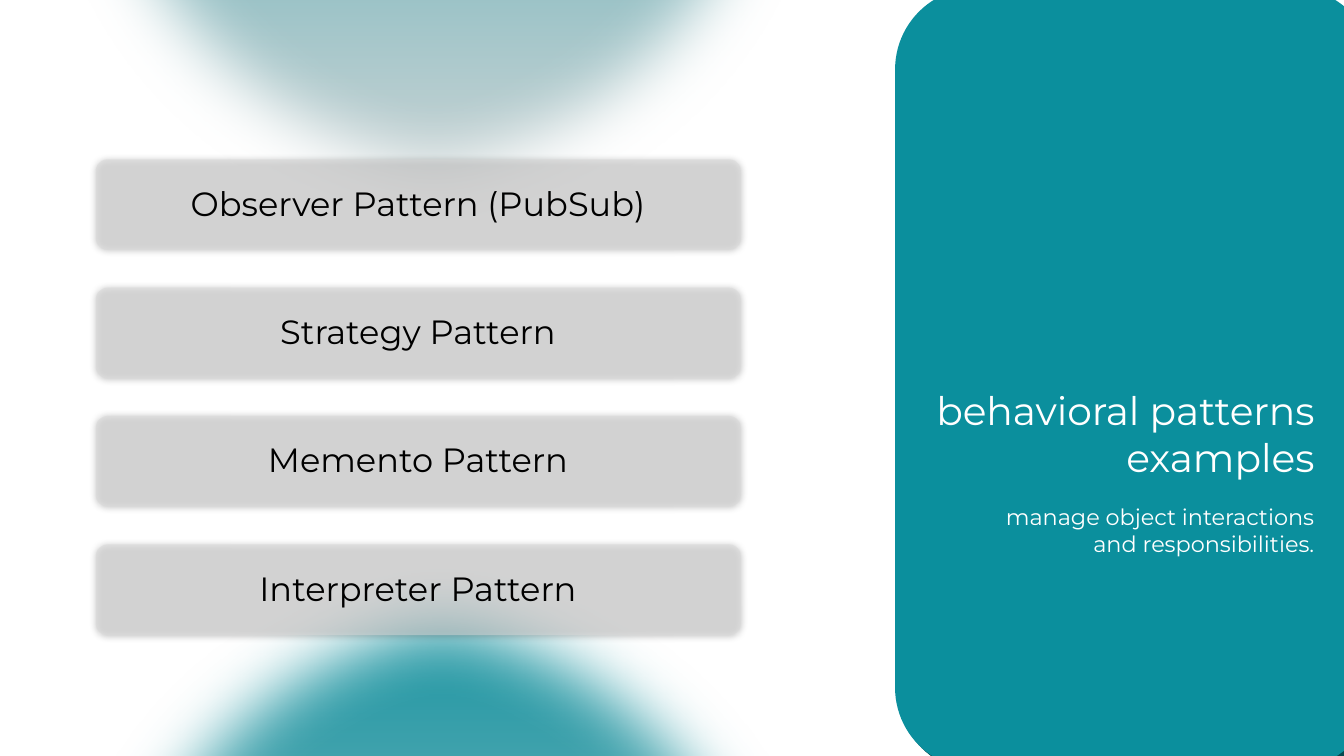
from lxml import etree
from pptx import Presentation
from pptx import util as u
from pptx.dml.color import RGBColor
from pptx.enum import shapes, text
from pptx.oxml.ns import qn

WIDTH, HEIGHT = u.Inches(13.33), u.Inches(7.5)
COLORS = {"teal": "0B8F9D", "dark_teal": "05484F", "grey": "D9D9D9",
          "black": "000000", "white": "FFFFFF"}
PATTERNS = ["Observer Pattern (PubSub)", "Strategy Pattern",
            "Memento Pattern", "Interpreter Pattern"]
FIRST_BAR, BAR_STEP = 21.07, 16.98  # percent of the slide height


def rgb(color):
    return RGBColor.from_string(COLORS[color])


def area(left, top, width, height):
    """Turn percentages of the slide's size into lengths."""
    return [round(share * side / 100) for share, side in
            zip((left, top, width, height), (WIDTH, HEIGHT, WIDTH, HEIGHT))]


def add_color(parent, color, alpha=100):
    node = etree.SubElement(parent, qn("a:srgbClr"), val=COLORS[color])
    etree.SubElement(node, qn("a:alpha"), val=str(alpha * 1000))


def add_effect(shape, kind, **values):
    effects = etree.SubElement(shape._element.spPr, qn("a:effectLst"))
    return etree.SubElement(effects, qn(kind),
                            {key: str(value) for key, value in values.items()})


def add_shadow(shape, color, alpha, blur, distance, angle):
    shadow = add_effect(shape, "a:outerShdw", blurRad=u.Pt(blur), dist=u.Pt(distance),
                        dir=angle * 60000, algn="ctr", rotWithShape=0)
    add_color(shadow, color, alpha)


def add_circle(slide, left, top):
    circle = slide.shapes.add_shape(shapes.MSO_SHAPE.OVAL, *area(left, top, 60, 106.67))
    circle.line.fill.background()
    circle.fill.gradient()
    circle.fill.gradient_angle = 270
    for stop, color, position in zip(circle.fill.gradient_stops, ("teal", "grey"), (0, 0.99)):
        stop.color.rgb = rgb(color)
        stop.position = position
    add_effect(circle, "a:softEdge", rad=u.Pt(50))


def add_card(slide, box, color, corner, shadow, alpha=100):
    card = slide.shapes.add_shape(shapes.MSO_SHAPE.ROUNDED_RECTANGLE, *area(*box))
    card.adjustments[0] = corner
    card.line.fill.background()
    card.fill.solid()
    card.fill.fore_color.rgb = rgb(color)
    fill_color = card._element.spPr.find(qn("a:solidFill"))[0]
    etree.SubElement(fill_color, qn("a:alpha"), val=str(alpha * 1000))
    add_shadow(card, *shadow)


def write(holder, words, size, color, align):
    frame = holder.text_frame
    frame.text = words
    frame_format = {"word_wrap": True, "auto_size": text.MSO_AUTO_SIZE.NONE,
                    "vertical_anchor": text.MSO_ANCHOR.TOP}
    for name, value in frame_format.items():
        setattr(frame, name, value)
    for paragraph in frame.paragraphs:
        for name, value in {"alignment": align, "space_before": u.Pt(0)}.items():
            setattr(paragraph, name, value)
        for run in paragraph.runs:
            for name, value in {"name": "Montserrat", "size": u.Pt(size)}.items():
                setattr(run.font, name, value)
            run.font.color.rgb = rgb(color)


def fill_placeholder(slide, holder, box, words, size):
    holder.left, holder.top, holder.width, holder.height = area(*box)
    write(holder, words, size, "white", text.PP_ALIGN.RIGHT)
    slide.shapes._spTree.append(holder._element)  # bring in front of the panel


def add_pattern(slide, pattern, top):
    add_card(slide, (7.13, top, 48, 12), "grey", 0.13, ("black", 40, 5, 0, 0), alpha=50)
    label = slide.shapes.add_textbox(*area(8.48, top + 2.4, 45.23, 6.67))
    write(label, pattern, 24, "black", text.PP_ALIGN.CENTER)


def main():
    deck = Presentation()
    deck.slide_width, deck.slide_height = WIDTH, HEIGHT
    slide = deck.slides.add_slide(deck.slide_layouts[0])
    title, subtitle = slide.placeholders

    # Soft circles behind the list
    add_circle(slide, 2.93, 73.2)
    add_circle(slide, 2.33, -74.4)

    # Side panel with title and summary
    add_card(slide, (66.6, -1.6, 35.63, 103.33), "teal", 0.17,
             ("dark_teal", 100, 0, 3, 45))
    fill_placeholder(slide, title, (66.6, 50.4, 31.95, 20.13),
                     "behavioral patterns\nexamples", 28)
    fill_placeholder(slide, subtitle, (72.75, 65.87, 25.8, 8.53),
                     "manage object interactions and responsibilities.", 16)

    # Pattern list
    for row, pattern in enumerate(PATTERNS):
        add_pattern(slide, pattern, FIRST_BAR + row * BAR_STEP)

    deck.save("out.pptx")


if __name__ == "__main__":
    main()
